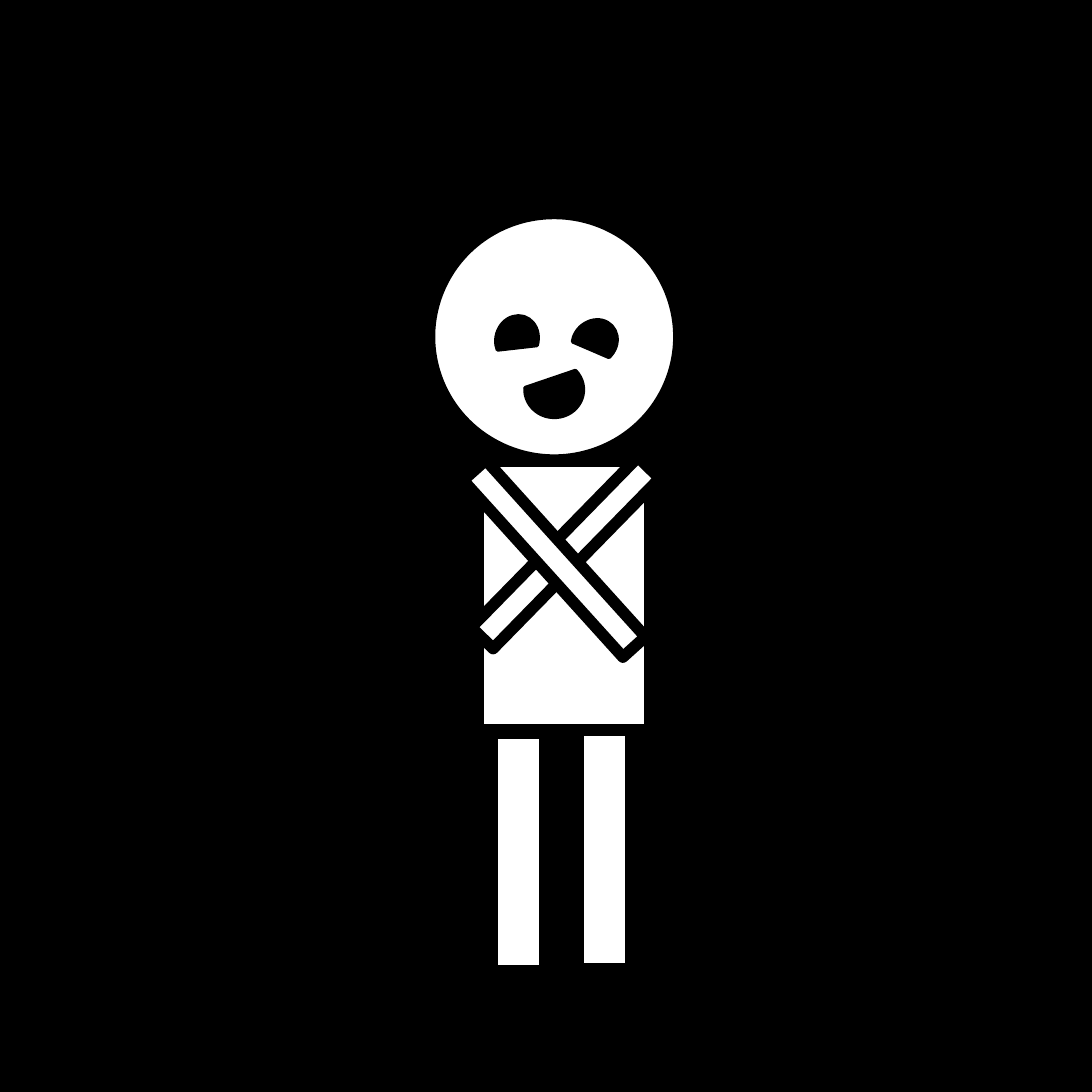
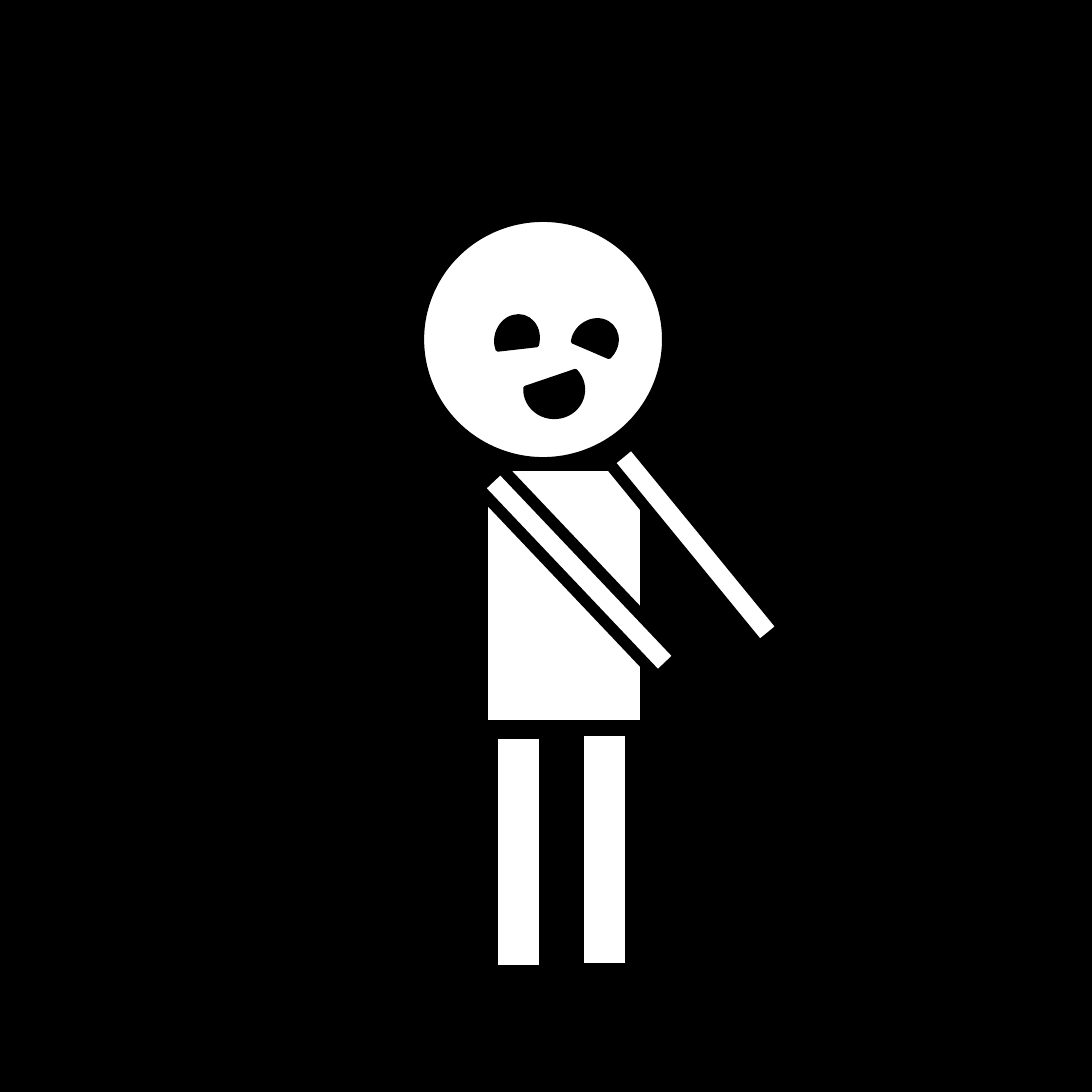
from dataclasses import dataclass

from pptx import Presentation
from pptx.dml.color import RGBColor
from pptx.enum.shapes import MSO_SHAPE
from pptx.util import Emu, Pt

ELLIPSE = MSO_SHAPE.OVAL
RECT = MSO_SHAPE.RECTANGLE
CHORD = MSO_SHAPE.CHORD

PX = 9144  # EMU per px, 100 px to the inch
SIDE = 394
BLANK_LAYOUT = 6


@dataclass(frozen=True)
class Theme:
    ink: RGBColor = RGBColor(0x00, 0x00, 0x00)
    paper: RGBColor = RGBColor(0xFF, 0xFF, 0xFF)
    thin: int = 1
    thick: int = 3


class Figure:
    """Draws a stick figure on the current slide."""

    def __init__(self, prs, theme):
        self.prs, self.theme, self.slide = prs, theme, None

    def new_slide(self):
        self.slide = self.prs.slides.add_slide(self.prs.slide_layouts[BLANK_LAYOUT])
        fill = self.slide.background.fill
        fill.solid()
        fill.fore_color.rgb = self.theme.ink

    def shape(self, kind, box, color, weight, rotation=0):
        sp = self.slide.shapes.add_shape(kind, *(Emu(v * PX) for v in box))
        sp.rotation = rotation
        sp.shadow.inherit = False
        sp.fill.solid()
        sp.fill.fore_color.rgb = color
        sp.line.color.rgb = self.theme.ink
        sp.line.width = Pt(weight)

    def head(self, x, y):
        self.shape(ELLIPSE, (x, y, 90, 89), self.theme.paper, self.theme.thick)

    def body(self, weight):
        self.shape(RECT, (174, 168, 59, 94), self.theme.paper, weight)

    def face(self):
        # Two eyes, then the mouth
        for box, rotation in (((178, 115, 17, 15), 106.7),
                              ((206, 116, 17, 15), 136.4),
                              ((190, 130, 20, 21), 273.4)):
            self.shape(CHORD, box, self.theme.ink, self.theme.thin, rotation)

    def limb(self, x, y, rotation, length=86, width=11):
        self.shape(RECT, (x, y, length, width), self.theme.paper,
                   self.theme.thick, rotation)

    def legs(self):
        for x, y in ((175, 297), (144, 298)):
            self.limb(x, y, 90, width=19)


def main():
    prs = Presentation()
    prs.slide_width = prs.slide_height = Emu(SIDE * PX)
    theme = Theme()
    fig = Figure(prs, theme)

    # Slide 1: arms crossed
    fig.new_slide()
    fig.head(155, 77)
    fig.body(theme.thin)
    fig.face()
    fig.limb(161, 194, 134.4)
    fig.legs()
    fig.limb(157, 196, 227.9)

    # Slide 2: one arm swung out
    fig.new_slide()
    fig.head(151, 78)
    fig.face()
    fig.legs()
    fig.body(theme.thick)
    fig.limb(162, 201, 46.5, length=94)
    fig.limb(208, 191, 230.7)

    prs.save("out.pptx")


if __name__ == "__main__":
    main()
